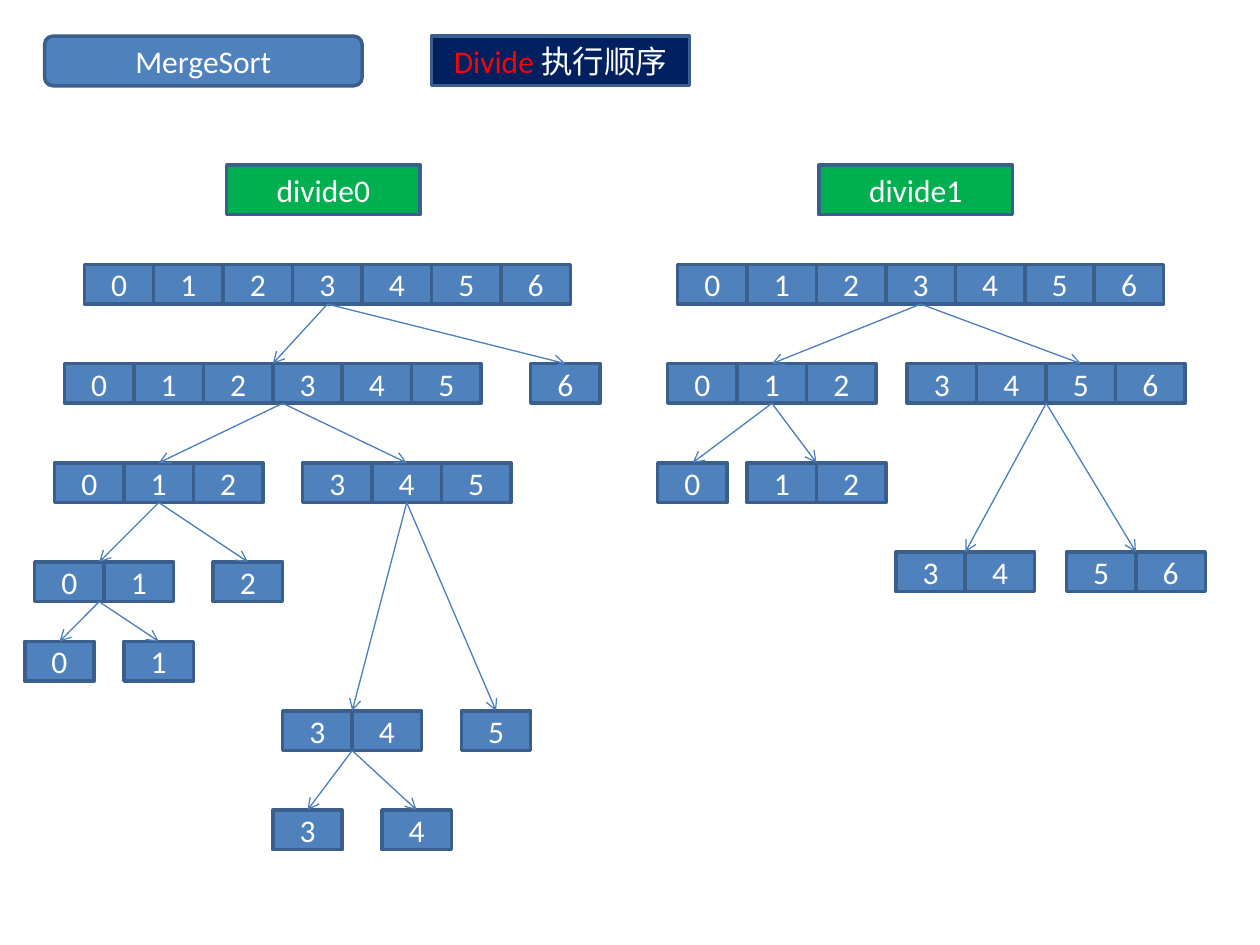
from dataclasses import dataclass

from lxml import etree
from pptx import Presentation
from pptx.dml.color import RGBColor
from pptx.enum.shapes import MSO_CONNECTOR, MSO_SHAPE
from pptx.enum.text import MSO_ANCHOR, PP_ALIGN
from pptx.oxml.ns import qn
from pptx.util import Cm, Pt

RECT, ROUNDED = MSO_SHAPE.RECTANGLE, MSO_SHAPE.ROUNDED_RECTANGLE
STRAIGHT = MSO_CONNECTOR.STRAIGHT
MIDDLE, CENTER = MSO_ANCHOR.MIDDLE, PP_ALIGN.CENTER

BLUE, EDGE, ARROW = "4F81BD", "3A5F8C", "4B7EBC"
GREEN, NAVY, RED, WHITE = "00B050", "002060", "FF0000", "FFFFFF"

CELL_W, CELL_H = 1.4, 0.8
LABEL_W, LABEL_H = 3.9, 1.0


@dataclass
class Node:
    """Cells first..last, at x, y in the tree's box, in cm.

    head_dx and tail_dx shift the arrow that arrives and those that leave.
    """
    first: int
    last: int
    x: float
    y: float
    children: tuple = ()
    head_dx: float = 0
    tail_dx: float = 0

    @property
    def middle(self):
        return self.x + (self.last - self.first + 1) * CELL_W / 2


DIVIDE0 = Node(0, 6, 1.2, 2, (
    Node(0, 5, 0.8, 4, (
        Node(0, 2, 0.6, 6, (
            Node(0, 1, 0.2, 8, (
                Node(0, 0, 0, 9.6),
                Node(1, 1, 2, 9.6),
            ), head_dx=-0.1, tail_dx=-0.1),
            Node(2, 2, 3.8, 8),
        )),
        Node(3, 5, 5.6, 6, (
            Node(3, 4, 5.2, 11, (
                Node(3, 3, 5, 13),
                Node(4, 4, 7.2, 13),
            )),
            Node(5, 5, 8.8, 11),
        )),
    ), tail_dx=0.2),
    Node(6, 6, 10.2, 4),
))

DIVIDE1 = Node(0, 6, 0.4, 2, (
    Node(0, 2, 0.2, 4, (
        Node(0, 0, 0, 6),
        Node(1, 2, 1.8, 6),
    )),
    Node(3, 6, 5.03, 4, (
        Node(3, 4, 4.8, 7.8),
        Node(5, 6, 8.24, 7.8),
    ), head_dx=0.7),
))


def rgb(value):
    return RGBColor.from_string(value)


def add_box(slide, x, y, w, h, runs, fill=BLUE, kind=RECT):
    """Outlined box with centred text; runs are (text, colour) pairs."""
    s = slide.shapes.add_shape(kind, Cm(x), Cm(y), Cm(w), Cm(h))
    s.shadow.inherit = False
    s.fill.solid()
    s.fill.fore_color.rgb = rgb(fill)
    s.line.color.rgb = rgb(EDGE)
    s.line.width = Pt(2)
    tf = s.text_frame
    tf.word_wrap = True
    tf.vertical_anchor = MIDDLE
    p = tf.paragraphs[0]
    p.alignment = CENTER
    for text, color in runs:
        r = p.add_run()
        r.text = text
        r.font.name = "Calibri"
        r.font.size = Pt(18)
        r.font.color.rgb = rgb(color)


def add_arrow(slide, x1, y1, x2, y2):
    c = slide.shapes.add_connector(STRAIGHT, Cm(x1), Cm(y1), Cm(x2), Cm(y2))
    c.line.color.rgb = rgb(ARROW)
    c.line.width = Pt(0.75)
    etree.SubElement(c.line._get_or_add_ln(), qn("a:tailEnd"), type="arrow")
    etree.SubElement(c._element.spPr, qn("a:effectLst"))


def add_node(slide, left, top, node):
    """Draws the node's cells, its subtrees and the arrows to them."""
    for i in range(node.last - node.first + 1):
        add_box(slide, left + node.x + i * CELL_W, top + node.y,
                CELL_W, CELL_H, [(str(node.first + i), WHITE)])
    for child in node.children:
        add_node(slide, left, top, child)
        add_arrow(slide,
                  left + node.middle + node.tail_dx, top + node.y + CELL_H,
                  left + child.middle + child.head_dx, top + child.y)


def add_tree(slide, left, top, title, title_x, root):
    add_box(slide, left + title_x, top, LABEL_W, LABEL_H,
            [(title, WHITE)], GREEN)
    add_node(slide, left, top, root)


def add_header(slide, left, top):
    add_box(slide, left, top, 6.4, LABEL_H, [("MergeSort", WHITE)],
            kind=ROUNDED)
    add_box(slide, left + 7.8, top, 5.2, LABEL_H,
            [("Divide ", RED), ("执行顺序", WHITE)], NAVY)


def main():
    prs = Presentation()
    prs.slide_width, prs.slide_height = Cm(25.4), Cm(19.05)
    slide = prs.slides.add_slide(prs.slide_layouts[6])
    add_header(slide, 0.9, 0.73)
    add_tree(slide, 0.5, 3.33, "divide0", 4.07, DIVIDE0)
    add_tree(slide, 13.26, 3.33, "divide1", 3.25, DIVIDE1)
    prs.save("out.pptx")


if __name__ == "__main__":
    main()
